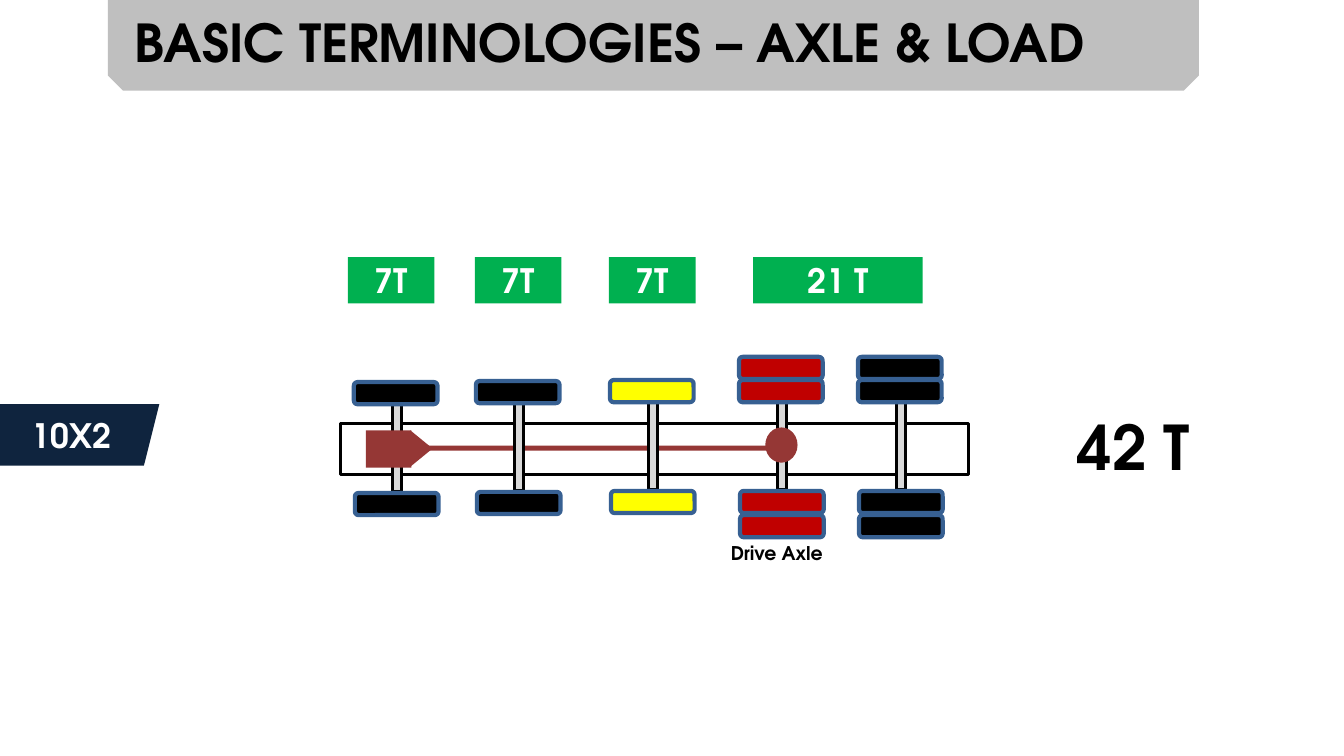
from pptx import Presentation
from pptx.dml.color import RGBColor
from pptx.enum.shapes import MSO_SHAPE
from pptx.enum.text import MSO_ANCHOR, MSO_AUTO_SIZE, PP_ALIGN
from pptx.util import Pt

PX = 9144
FONT = "TeX Gyre Adventor"
BLACK = RGBColor(0x00, 0x00, 0x00)
WHITE = RGBColor(0xFF, 0xFF, 0xFF)
NAVY = RGBColor(0x0F, 0x24, 0x3E)
GRAY = RGBColor(0xBF, 0xBF, 0xBF)
STEEL = RGBColor(0xD9, 0xD9, 0xD9)
BLUE = RGBColor(0x37, 0x60, 0x92)
BRICK = RGBColor(0x95, 0x37, 0x35)
RED = RGBColor(0xC0, 0x00, 0x00)
YELLOW = RGBColor(0xFF, 0xFF, 0x00)
GREEN = RGBColor(0x00, 0xB0, 0x50)


class Board:
    def __init__(self, slide):
        self.slide = slide

    def letter(self, frame, text, size, color, align=PP_ALIGN.LEFT):
        frame.text = text
        para = frame.paragraphs[0]
        para.alignment = align
        font = para.runs[0].font
        font.name = FONT
        font.size = Pt(size)
        font.bold = True
        font.color.rgb = color

    def shape(self, kind, box, fill=None, line=None, width=2.25, turn=0):
        item = self.slide.shapes.add_shape(kind, *(n * PX for n in box))
        item.shadow.inherit = False
        item.rotation = turn
        if fill is None:
            item.fill.background()
        else:
            item.fill.solid()
            item.fill.fore_color.rgb = fill
        if line is None:
            item.line.fill.background()
        else:
            item.line.color.rgb = line
            item.line.width = Pt(width)
        return item

    def badge(self, kind, box, fill, text):
        frame = self.shape(kind, box, fill).text_frame
        frame.vertical_anchor = MSO_ANCHOR.MIDDLE
        self.letter(frame, text, 24, WHITE, PP_ALIGN.CENTER)

    def label(self, box, text, size):
        item = self.slide.shapes.add_textbox(*(n * PX for n in box))
        item.text_frame.word_wrap = False
        self.letter(item.text_frame, text, size, BLACK)

    def title(self, box, text):
        item = self.slide.shapes.title
        item.left, item.top, item.width, item.height = (n * PX for n in box)
        frame = item.text_frame
        frame.word_wrap = True
        frame.auto_size = MSO_AUTO_SIZE.NONE
        frame.vertical_anchor = MSO_ANCHOR.TOP
        self.letter(frame, text, 37.3, BLACK)
        item.element.getparent().append(item.element)

    def axle(self, left, top, color, twin=False):
        self.shape(MSO_SHAPE.RECTANGLE, (left, top, 9, 87), STEEL, BLACK)
        wheels = [(-37, 88), (-38, -22)]
        if twin:
            wheels += [(-38, -45), (-37, 112)]
        for dx, dy in wheels:
            self.shape(MSO_SHAPE.ROUNDED_RECTANGLE,
                       (left + dx, top + dy, 83, 22), color, BLUE, 3)


def main():
    deck = Presentation()
    deck.slide_width = 1333 * PX
    deck.slide_height = 750 * PX
    board = Board(deck.slides.add_slide(deck.slide_layouts[5]))

    board.badge(MSO_SHAPE.PARALLELOGRAM, (-16, 401, 174, 61), NAVY, "10X2")
    board.shape(MSO_SHAPE.RECTANGLE, (338, 420, 623, 51), line=BLACK)

    board.axle(389, 401, BLACK)
    board.shape(MSO_SHAPE.RECTANGLE, (363, 427, 45, 37), BRICK)
    board.shape(MSO_SHAPE.ISOSCELES_TRIANGLE, (400, 434, 36, 22), BRICK, turn=90)
    board.axle(771, 399, RED, twin=True)
    board.axle(889, 399, BLACK, twin=True)
    board.shape(MSO_SHAPE.OVAL, (759, 424, 32, 35), BRICK)
    board.shape(MSO_SHAPE.RECTANGLE, (409, 442, 360, 5), BRICK)
    board.axle(510, 400, BLACK)
    board.axle(643, 399, YELLOW)

    loads = [(345, 86, "7T"), (471, 86, "7T"), (604, 86, "7T"), (747, 168, "21 T")]
    for left, width, text in loads:
        board.badge(MSO_SHAPE.RECTANGLE, (left, 255, width, 46), GREEN, text)

    board.label((1059, 401, 132, 84), "42 T", 44)
    board.label((715, 532, 114, 33), "Drive Axle", 13.5)
    board.shape(MSO_SHAPE.SNIP_2_SAME_RECTANGLE, (107, 0, 1082, 90), GRAY, turn=180)
    board.title((123, 5, 1144, 73), "BASIC TERMINOLOGIES – AXLE & LOAD")
    deck.save("out.pptx")


if __name__ == "__main__":
    main()
